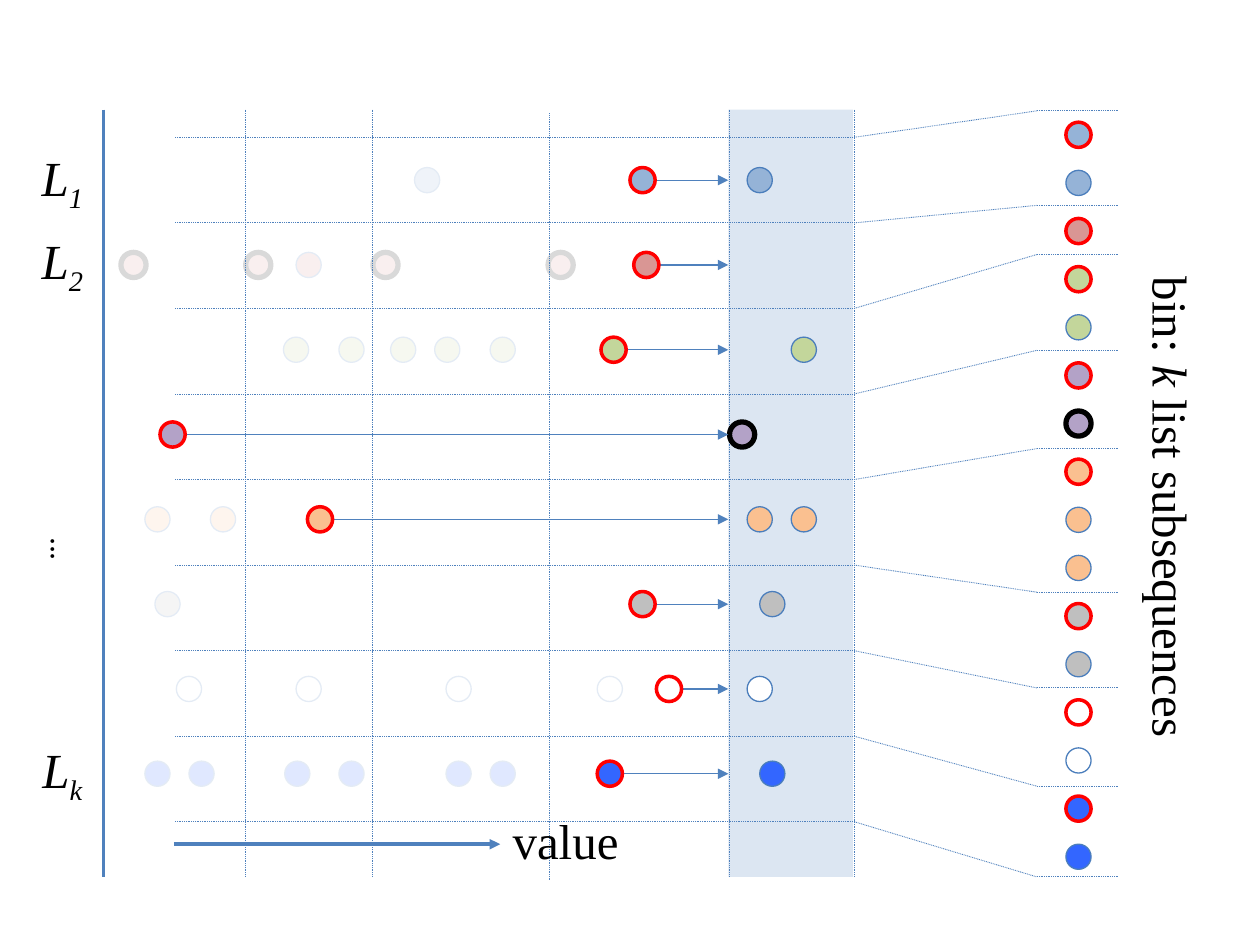
from dataclasses import dataclass

from lxml.etree import SubElement
from pptx import Presentation
from pptx.dml.color import RGBColor
from pptx.enum.dml import MSO_LINE
from pptx.enum.shapes import MSO_CONNECTOR, MSO_SHAPE
from pptx.enum.text import MSO_AUTO_SIZE, PP_ALIGN
from pptx.oxml.ns import qn
from pptx.util import Inches, Pt

BLUE, DOT_EDGE, BLACK, RED = "4F81BD", "4B7EBC", "000000", "FF0000"
DOT = 0.2
TOP, BOTTOM = 0.87, 6.96
ROW_TOP, ROW_STEP = 1.33, 0.673
EDGE_TOP, EDGE_STEP = 1.09, 0.679
BIN_LEFT, BIN_RIGHT = 5.79, 6.78
STACK_LEFT, STACK_TOP, STACK_STEP = 8.46, 0.97, 0.382
STACK_EDGES = [0.88, 1.63, 2.02, 2.78, 3.56, 4.7, 5.46, 6.24, 6.96]


@dataclass
class SortedList:
    """One row: left edges of its passed, splitter, current and binned dots."""
    fill: str
    current: float
    passed: tuple[float, ...] = ()
    splitters: tuple[float, ...] = ()
    binned: tuple[float, ...] = ()
    binned_splitters: tuple[float, ...] = ()


@dataclass
class Span:
    text: str
    italic: bool = False
    subscript: bool = False


LISTS = [
    SortedList("95B3D7", 5.0, passed=(3.29,), binned=(5.93,)),
    SortedList("D99694", 5.03, passed=(2.35,), splitters=(0.96, 1.95, 2.96, 4.35)),
    SortedList("C3D69B", 4.77, passed=(2.25, 2.69, 3.1, 3.45, 3.89), binned=(6.28,)),
    SortedList("B3A2C7", 1.27, binned_splitters=(5.79,)),
    SortedList("FAC090", 2.44, passed=(1.15, 1.67), binned=(5.93, 6.28)),
    SortedList("BFBFBF", 5.0, passed=(1.23,), binned=(6.03,)),
    SortedList("FFFFFF", 5.21, passed=(1.4, 2.35, 3.54, 4.74), binned=(5.93,)),
    SortedList("3366FF", 4.74, passed=(1.15, 1.5, 2.26, 2.69, 3.54, 3.89), binned=(6.03,)),
]

deck = Presentation()
deck.slide_width, deck.slide_height = Inches(10), Inches(7.5)
page = deck.slides.add_slide(deck.slide_layouts[6])


def color(value: str) -> RGBColor:
    return RGBColor.from_string(value)


def add_shape(kind: MSO_SHAPE, left: float, top: float, width: float, height: float, fill: str):
    shape = page.shapes.add_shape(kind, Inches(left), Inches(top), Inches(width), Inches(height))
    shape.shadow.inherit = False
    shape.fill.solid()
    shape.fill.fore_color.rgb = color(fill)
    shape.line.fill.background()
    return shape


def add_dot(left: float, top: float, fill: str, edge: str = DOT_EDGE, weight: float = 0.75) -> None:
    dot = add_shape(MSO_SHAPE.OVAL, left, top, DOT, DOT, fill)
    dot.line.color.rgb = color(edge)
    dot.line.width = Pt(weight)


def add_splitter(left: float, top: float, fill: str) -> None:
    add_dot(left, top, fill, BLACK, 3)


def add_current(left: float, top: float, fill: str) -> None:
    add_dot(left, top, fill, RED, 2)


def add_line(x1: float, y1: float, x2: float, y2: float, weight: float = 0.5,
             dotted: bool = True, arrow: bool = False) -> None:
    line = page.shapes.add_connector(
        MSO_CONNECTOR.STRAIGHT, Inches(x1), Inches(y1), Inches(x2), Inches(y2))
    line.line.color.rgb = color(BLUE)
    line.line.width = Pt(weight)
    if dotted:
        line.line.dash_style = MSO_LINE.ROUND_DOT
    if arrow:
        SubElement(line.get_or_add_ln(), qn("a:tailEnd"), type="triangle")
    SubElement(line._element.spPr, qn("a:effectLst"))


def add_text(left: float, top: float, width: float, height: float, spans: list[Span],
             align: PP_ALIGN = PP_ALIGN.CENTER, rotation: int = 0,
             font: str = "Times New Roman", size: int = 28) -> None:
    box = page.shapes.add_textbox(Inches(left), Inches(top), Inches(width), Inches(height))
    box.rotation = rotation
    box.text_frame.word_wrap = False
    box.text_frame.auto_size = MSO_AUTO_SIZE.SHAPE_TO_FIT_TEXT
    para = box.text_frame.paragraphs[0]
    para.alignment = align
    for span in spans:
        run = para.add_run()
        run.text = span.text
        run.font.color.rgb = color(BLACK)
        formats = {"name": font, "size": Pt(size), "italic": span.italic}
        for name, value in formats.items():
            setattr(run.font, name, value)
        if span.subscript:
            run._r.get_or_add_rPr().set("baseline", "-25000")


def row_top(index: int) -> float:
    return ROW_TOP + index * ROW_STEP


def draw_passed_dots() -> None:
    """Draw the dots left of the bin and fade them with a translucent veil."""
    for index, row in enumerate(LISTS):
        for left in row.passed:
            add_dot(left, row_top(index), row.fill)
        for left in row.splitters:
            add_splitter(left, row_top(index), row.fill)
    veil = add_shape(MSO_SHAPE.RECTANGLE, 0.82, 0.88, 4.86, 6.08, "FFFFFF")
    SubElement(veil.fill._xPr.find(".//" + qn("a:srgbClr")), qn("a:alpha"), val="85000")


def draw_bin() -> None:
    for x, shift in ((1.95, 0), (2.96, 0), (4.36, 0.03)):
        add_line(x, TOP + shift, x, BOTTOM + shift)
    add_shape(MSO_SHAPE.RECTANGLE, 5.78, TOP, 0.99, BOTTOM - TOP, "DCE6F2")
    for x in (BIN_LEFT, BIN_RIGHT):
        add_line(x, TOP, x, BOTTOM)


def draw_rows() -> None:
    for index, row in enumerate(LISTS):
        top = row_top(index)
        middle = top + DOT / 2
        for left in row.binned:
            add_dot(left, top, row.fill)
        for left in row.binned_splitters:
            add_splitter(left, top, row.fill)
        add_line(row.current + DOT, middle, 5.78, middle, 0.75, dotted=False, arrow=True)
        add_current(row.current, top, row.fill)


def draw_stack() -> None:
    """Stack the current and binned dots of all lists in one column."""
    place = 0
    for row in LISTS:
        painters = ([add_current] + [add_dot] * len(row.binned)
                    + [add_splitter] * len(row.binned_splitters))
        for paint in painters:
            paint(STACK_LEFT, STACK_TOP + place * STACK_STEP, row.fill)
            place += 1


def draw_edges() -> None:
    for index, stack_edge in enumerate(STACK_EDGES):
        row_edge = EDGE_TOP + index * EDGE_STEP
        add_line(1.39, row_edge, BIN_RIGHT, row_edge)
        add_line(BIN_RIGHT, row_edge, 8.23, stack_edge)
        add_line(8.23, stack_edge, 8.88, stack_edge)


def draw_labels() -> None:
    add_text(3.97, 6.38, 1.05, 0.64, [Span("value")], PP_ALIGN.LEFT)
    add_line(1.38, 6.7, 3.97, 6.7, 2, dotted=False, arrow=True)
    add_line(0.82, TOP, 0.82, BOTTOM, 2, dotted=False)
    add_text(7.35, 3.74, 3.9, 0.57,
             [Span("bin: "), Span("k ", italic=True), Span("list subsequences")], rotation=90)
    for subscript, top in (("1", 1.12), ("2", 1.78), ("k", 5.82)):
        add_text(0.17, top, 0.65, 0.64,
                 [Span("L", italic=True), Span(subscript, italic=True, subscript=True)])
    add_text(-0.04, 3.88, 0.84, 0.5, [Span("...")], PP_ALIGN.LEFT, 270, "Calibri", 18)


draw_passed_dots()
draw_bin()
draw_rows()
draw_stack()
draw_edges()
draw_labels()
deck.save("out.pptx")
